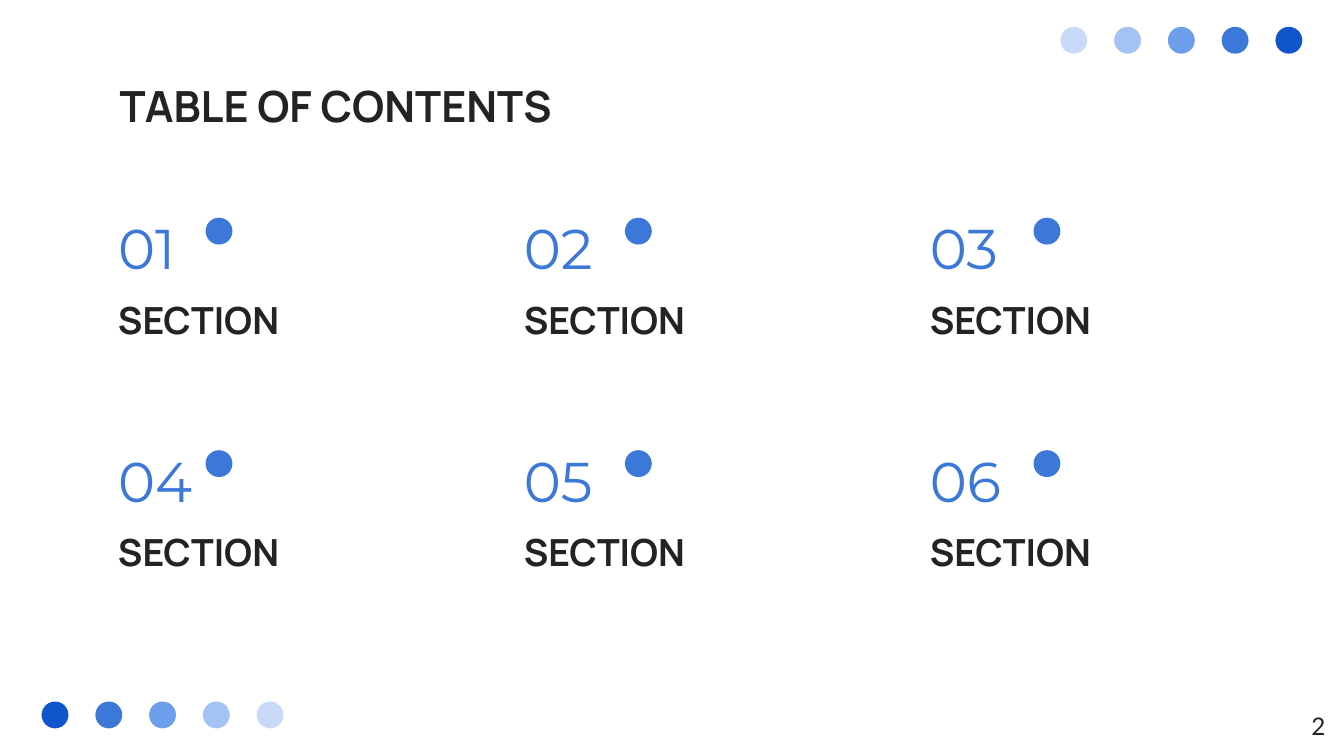
from pptx import Presentation
from pptx.dml.color import RGBColor
from pptx.enum.shapes import MSO_SHAPE
from pptx.enum.text import MSO_ANCHOR, MSO_AUTO_SIZE, PP_ALIGN
from pptx.util import Inches, Pt

COLORS = {
    "background": "FFFFFF",
    "ink": "232323",
    "accent": "3C78D8",
}
DOT_SHADES = ["C9DAF8", "A4C2F4", "6D9EEB", "3C78D8", "1155CC"]
WIDTH = 10
HEIGHT = WIDTH * 9 / 16
DOT_SIZE = 0.2
DOT_PITCH = 0.4
GRID_LEFT, GRID_TOP = 0.78, 1.62
COLUMN_PITCH, ROW_PITCH = 3.02, 1.73
DOT_OFFSETS = [0.75, 0.85, 0.87]  # the dot's distance from each column's left edge


def place(shape, box):
    shape.left, shape.top, shape.width, shape.height = map(Inches, box)


def write(shape, text, *, size, font, color=COLORS["ink"], bold=False,
          align=PP_ALIGN.LEFT, anchor=MSO_ANCHOR.TOP):
    frame = shape.text_frame
    frame.word_wrap = True
    frame.auto_size = MSO_AUTO_SIZE.NONE
    frame.vertical_anchor = anchor
    frame.margin_left = frame.margin_right = Inches(0.1)
    frame.margin_top = frame.margin_bottom = Inches(0.1)
    paragraph = frame.paragraphs[0]
    paragraph.alignment = align
    run = paragraph.add_run()
    run.text = text
    run.font.size = Pt(size)
    run.font.name = font
    run.font.bold = bold
    run.font.color.rgb = RGBColor.from_string(color)


def add_text(slide, box, text, **text_format):
    write(slide.shapes.add_textbox(*map(Inches, box)), text, **text_format)


def add_dot(slide, left, top, color):
    box = (left, top, DOT_SIZE, DOT_SIZE)
    shape = slide.shapes.add_shape(MSO_SHAPE.OVAL, *map(Inches, box))
    shape.shadow.inherit = False
    shape.fill.solid()
    shape.fill.fore_color.rgb = RGBColor.from_string(color)
    shape.line.fill.background()


def add_dot_row(slide, left, top, shades):
    for index, shade in enumerate(shades):
        add_dot(slide, left + index * DOT_PITCH, top, shade)


def add_title(slide, box, text):
    title = slide.shapes.title
    place(title, box)
    write(title, text, size=23, font="Manrope", bold=True)


def add_section(slide, left, top, number, name, dot_offset):
    add_text(slide, (left, top + 0.08, 1.18, 0.49), number, size=30,
             font="Montserrat", color=COLORS["accent"], anchor=MSO_ANCHOR.BOTTOM)
    add_text(slide, (left, top + 0.49, 2.4, 0.43), name, size=20,
             font="Manrope", bold=True)
    add_dot(slide, left + dot_offset, top, COLORS["accent"])


def add_contents(slide, left, top, names):
    """Lay the numbered sections out row by row."""
    for index, name in enumerate(names):
        row, column = divmod(index, len(DOT_OFFSETS))
        add_section(slide, left + column * COLUMN_PITCH, top + row * ROW_PITCH,
                    f"{index + 1:02}", name, DOT_OFFSETS[column])


def main():
    presentation = Presentation()
    presentation.slide_width = Inches(WIDTH)
    presentation.slide_height = Inches(HEIGHT)
    slide = presentation.slides.add_slide(presentation.slide_layouts[5])
    slide.background.fill.solid()
    slide.background.fill.fore_color.rgb = RGBColor.from_string(COLORS["background"])

    add_dot_row(slide, 7.89, 0.2, DOT_SHADES)
    add_dot_row(slide, 0.31, 5.22, reversed(DOT_SHADES))
    add_title(slide, (0.79, 0.49, 8.43, 0.63), "TABLE OF CONTENTS")
    add_contents(slide, GRID_LEFT, GRID_TOP, ["SECTION"] * 6)
    add_text(slide, (9.36, 5.19, 0.6, 0.43), "2", size=13, font="Lato",
             align=PP_ALIGN.RIGHT)
    presentation.save("out.pptx")


if __name__ == "__main__":
    main()
